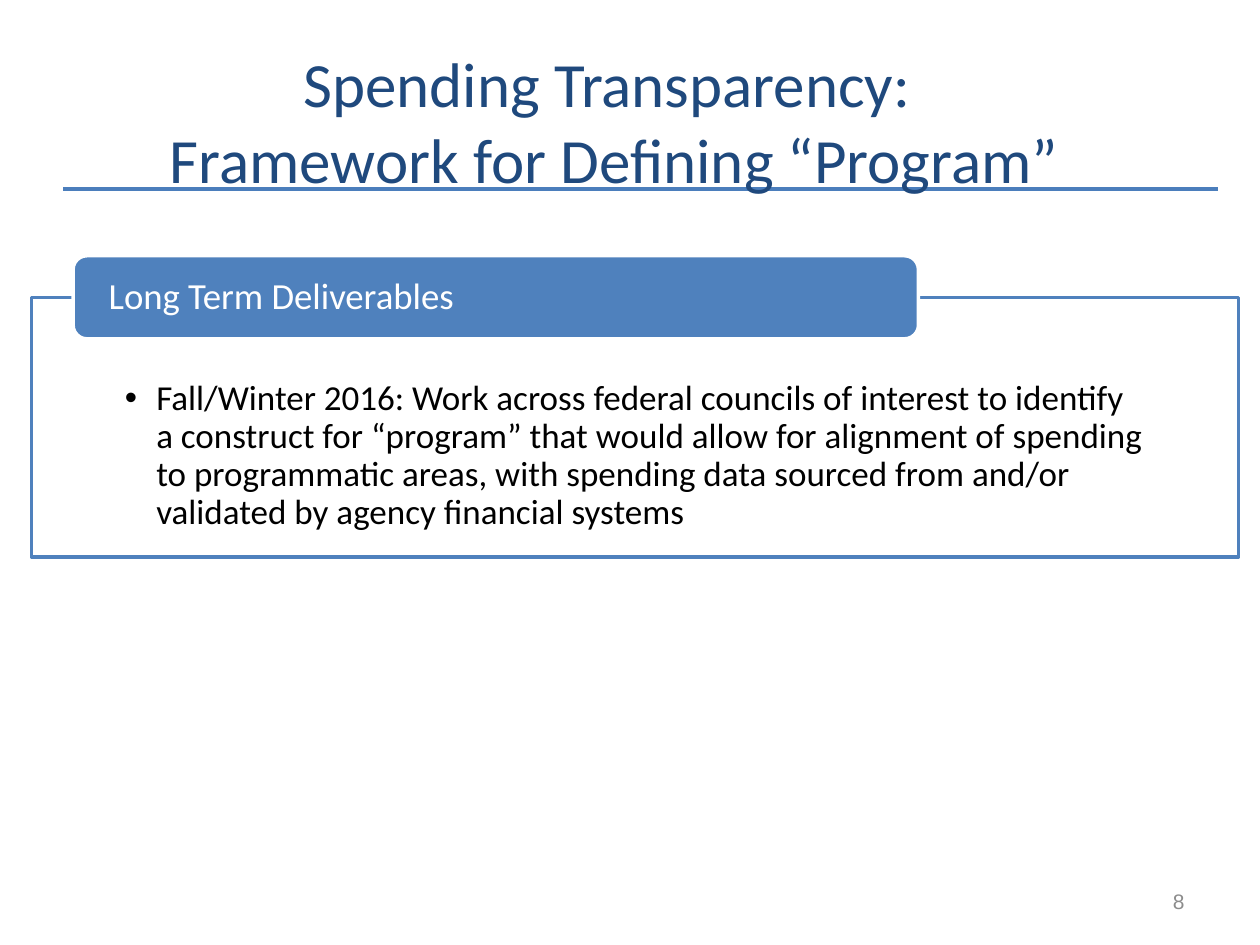
from dataclasses import dataclass

from lxml import etree
from pptx import Presentation
from pptx.dml.color import RGBColor
from pptx.enum.shapes import MSO_CONNECTOR, MSO_SHAPE
from pptx.enum.text import MSO_ANCHOR, PP_ALIGN
from pptx.oxml.ns import qn
from pptx.util import Inches, Pt

STRAIGHT = MSO_CONNECTOR.STRAIGHT
RECTANGLE, ROUNDED = MSO_SHAPE.RECTANGLE, MSO_SHAPE.ROUNDED_RECTANGLE
TOP, MIDDLE = MSO_ANCHOR.TOP, MSO_ANCHOR.MIDDLE
LEFT, CENTER, RIGHT = PP_ALIGN.LEFT, PP_ALIGN.CENTER, PP_ALIGN.RIGHT

TITLE = "Spending Transparency: \vFramework for Defining “Program”"
HEADING = "Long Term Deliverables"
DELIVERABLE = (
    "Fall/Winter 2016: Work across federal councils of interest to identify "
    "a construct for “program” that would allow for alignment of spending "
    "to programmatic areas, with spending data sourced from and/or "
    "validated by agency financial systems"
)
PAGE_NUMBER = "8"


@dataclass(frozen=True)
class Theme:
    """Fonts, colours and sizes of the slide."""
    font: str = "Calibri"
    number_font: str = "Arial"
    navy: str = "1F497D"
    blue: str = "4F81BD"
    rule: str = "4B7EBC"
    white: str = "FFFFFF"
    black: str = "000000"
    grey: str = "8C8C8C"
    title_size: int = 36
    heading_size: int = 21
    body_size: int = 20
    number_size: int = 12
    line_width: int = 2


THEME = Theme()


def write(shape, text, size, color, font=THEME.font, align=LEFT,
          anchor=MIDDLE, insets=(0.1, 0.05, 0.1, 0.05)):
    """Fill a shape with one formatted paragraph and return the paragraph."""
    frame = shape.text_frame
    frame.text = text
    frame.word_wrap = True
    frame.vertical_anchor = anchor
    (frame.margin_left, frame.margin_top,
     frame.margin_right, frame.margin_bottom) = map(Inches, insets)
    paragraph = frame.paragraphs[0]
    paragraph.alignment = align
    for run in paragraph.runs:
        run.font.name = font
        run.font.size = Pt(size)
        run.font.color.rgb = RGBColor.from_string(color)
    return paragraph


def add_box(slide, kind, bounds, fill, line):
    """Add a filled and outlined shape without a shadow."""
    shape = slide.shapes.add_shape(kind, *map(Inches, bounds))
    shape.shadow.inherit = False
    shape.fill.solid()
    shape.fill.fore_color.rgb = RGBColor.from_string(fill)
    shape.line.color.rgb = RGBColor.from_string(line)
    shape.line.width = Pt(THEME.line_width)
    return shape


def add_title(slide):
    """Place the title over its horizontal rule."""
    title = slide.shapes.title
    title.left, title.top, title.width, title.height = map(
        Inches, (0.25, 0.33, 9.25, 1.25))
    write(title, TITLE, THEME.title_size, THEME.navy, align=CENTER)

    rule = slide.shapes.add_connector(
        STRAIGHT, *map(Inches, (0.5, 1.5, 9.67, 1.5)))
    rule.line.color.rgb = RGBColor.from_string(THEME.rule)
    rule.line.width = Pt(THEME.line_width)
    etree.SubElement(rule.element.spPr, qn("a:effectLst"))
    title.element.addprevious(rule.element)


def add_bullet(paragraph, indent):
    """Give a paragraph a round bullet with a hanging indent."""
    properties = paragraph._p.get_or_add_pPr()
    properties.set("marL", str(Inches(indent)))
    properties.set("indent", str(-Inches(indent)))
    etree.SubElement(properties, qn("a:buFont"), typeface="Arial")
    etree.SubElement(properties, qn("a:buChar"), char="•")


def add_deliverables(slide):
    """Add the outlined panel and the heading on its top edge."""
    panel = add_box(slide, RECTANGLE, (0.25, 2.36, 9.58, 2.06),
                    THEME.white, THEME.blue)
    color = panel.fill._xPr.find(qn("a:solidFill"))[0]
    etree.SubElement(color, qn("a:alpha"), val="90000")
    body = write(panel, DELIVERABLE, THEME.body_size, THEME.black,
                 anchor=TOP, insets=(0.74, 0.66, 0.74, 0.16))
    body.line_spacing = 0.9
    add_bullet(body, 0.25)

    tab = add_box(slide, ROUNDED, (0.58, 2.03, 6.71, 0.66),
                  THEME.blue, THEME.white)
    heading = write(tab, HEADING, THEME.heading_size, THEME.white,
                    insets=(0.25, 0, 0.25, 0))
    heading.line_spacing = 0.9


def add_page_number(slide):
    """Add the page number at the lower right."""
    box = slide.shapes.add_textbox(*map(Inches, (7.17, 6.95, 2.33, 0.4)))
    write(box, PAGE_NUMBER, THEME.number_size, THEME.grey,
          font=THEME.number_font, align=RIGHT)


def main():
    """Build and save the slide."""
    presentation = Presentation()
    presentation.slide_width, presentation.slide_height = Inches(10), Inches(7.5)
    slide = presentation.slides.add_slide(presentation.slide_layouts[5])
    add_title(slide)
    add_deliverables(slide)
    add_page_number(slide)
    presentation.save("out.pptx")


main()
